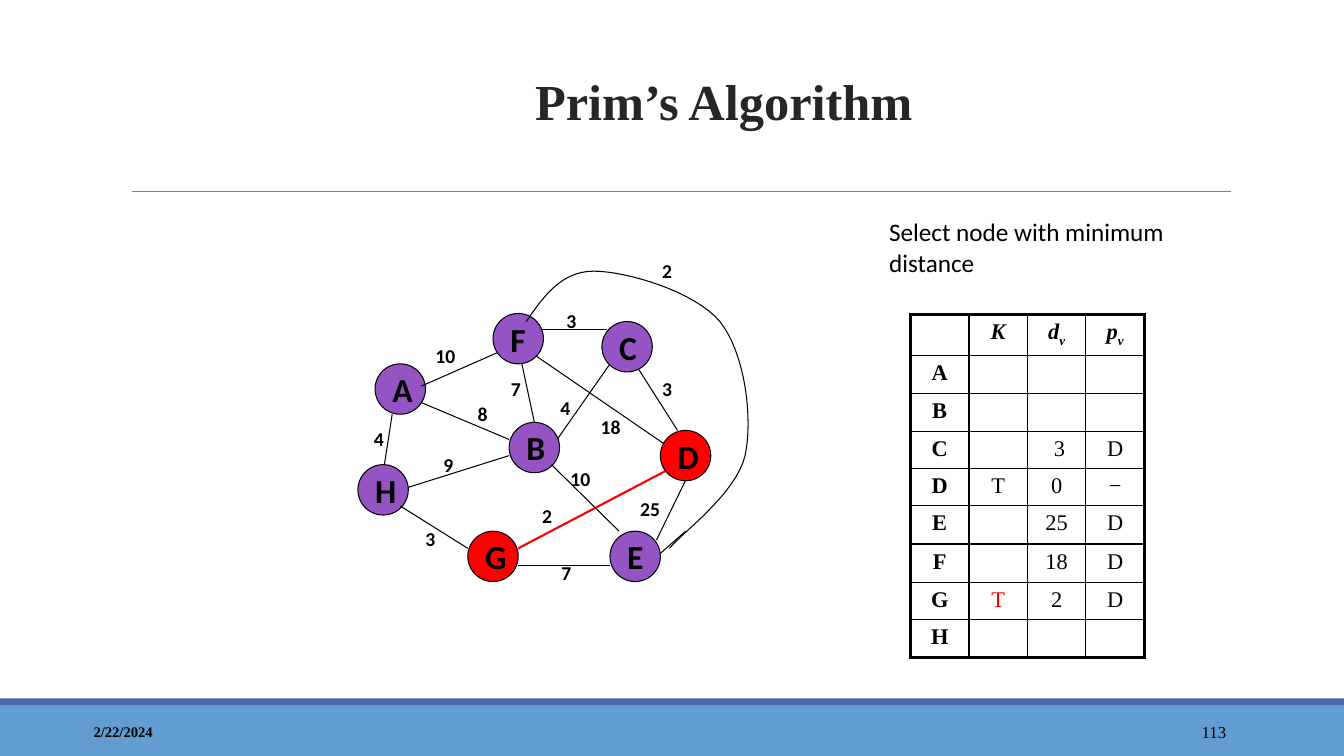
"""Build the Prim's Algorithm slide with its weighted graph and distance table."""
from lxml.etree import SubElement
from pptx import Presentation
from pptx.dml.color import RGBColor
from pptx.enum.shapes import MSO_CONNECTOR, MSO_SHAPE
from pptx.enum.text import MSO_ANCHOR, MSO_AUTO_SIZE, PP_ALIGN
from pptx.oxml.ns import qn
from pptx.util import Inches, Pt

SERIF, SANS = "Times New Roman", "Calibri"
BLACK, RED, PURPLE = "000000", "FF0000", "9454C3"


def write(frame, text, size, font=SANS, bold=False, color=BLACK, align=PP_ALIGN.LEFT):
    frame.word_wrap = True
    paragraph = frame.paragraphs[0]
    paragraph.alignment = align
    run = paragraph.add_run()
    run.text = text
    run.font.size = Pt(size)
    run.font.name = font
    run.font.bold = bold
    run.font.color.rgb = RGBColor.from_string(color)
    return run


def connect(x1, y1, x2, y2, color=BLACK, width=0.75):
    line = slide.shapes.add_connector(
        MSO_CONNECTOR.STRAIGHT, Inches(x1), Inches(y1), Inches(x2), Inches(y2))
    line.line.color.rgb = RGBColor.from_string(color)
    line.line.width = Pt(width)
    SubElement(line._element.spPr, qn("a:effectLst"))


prs = Presentation()
prs.slide_width, prs.slide_height = Inches(13.33), Inches(7.5)
slide = prs.slides.add_slide(prs.slide_layouts[5])

title = slide.shapes.title
title.left, title.top, title.width, title.height = map(Inches, (1.68, 0.29, 11, 1.06))
heading = title.text_frame
heading.auto_size = MSO_AUTO_SIZE.NONE
heading.vertical_anchor = MSO_ANCHOR.BOTTOM
write(heading, "Prim’s Algorithm", 36, SERIF, True, "262626", PP_ALIGN.CENTER)
heading.paragraphs[0].line_spacing = 1.1

for top, height, color in [(7, 0.5, "629DD1"), (6.93, 0.07, "4A66AC")]:
    band = slide.shapes.add_shape(
        MSO_SHAPE.RECTANGLE, 0, Inches(top), prs.slide_width, Inches(height))
    band.shadow.inherit = False
    band.fill.solid()
    band.fill.fore_color.rgb = RGBColor.from_string(color)
    band.line.fill.background()
connect(1.31, 1.9, 12.21, 1.9, "7F7F7F")

for text, left, width, size, bold, align in [
    ("2/22/2024", 0.83, 3, 10.5, True, PP_ALIGN.LEFT),
    ("113", 10.83, 1.43, 12, False, PP_ALIGN.RIGHT),
]:
    footer = slide.shapes.add_textbox(Inches(left), Inches(7.06), Inches(width), Inches(0.4))
    footer.text_frame.vertical_anchor = MSO_ANCHOR.MIDDLE
    write(footer.text_frame, text, size, SERIF, bold, align=align)

step = slide.shapes.add_textbox(Inches(8.72), Inches(2.1), Inches(3.17), Inches(0.77))
write(step.text_frame, "Select node with minimum distance", 18)

distances = [
    ("", "K", "d", "p"),
    ("A", "", "", ""),
    ("B", "", "", ""),
    ("C", "", " 3", "D"),
    ("D", "T", "0", "−"),
    ("E", "", "25", "D"),
    ("F", "", "18", "D"),
    ("G", "T", "2", "D"),
    ("H", "", "", ""),
]
row_heights = [0.36, 0.38, 0.38, 0.36, 0.36, 0.38, 0.38, 0.36, 0.38]
table = slide.shapes.add_table(
    9, 4, Inches(9.03), Inches(3.12), Inches(2.32), Inches(sum(row_heights))).table
table.first_row = table.horz_banding = False
for column in table.columns:
    column.width = Inches(0.58)
for r, (values, height) in enumerate(zip(distances, row_heights)):
    table.rows[r].height = Inches(height)
    for c, value in enumerate(values):
        cell = table.cell(r, c)
        paragraph = cell.text_frame.paragraphs[0]
        if value:
            color = RED if (values[0], c) == ("G", 1) else BLACK
            run = write(cell.text_frame, value, 16, SERIF, r == 0 or c == 0,
                        color, PP_ALIGN.CENTER)
            run.font.italic = r == 0
            if value in ("d", "p"):
                subscript = write(cell.text_frame, "v", 16, SERIF, True,
                                  align=PP_ALIGN.CENTER)
                subscript.font.italic = True
                subscript._r.get_or_add_rPr().set("baseline", "-25000")
        else:
            SubElement(paragraph._p, qn("a:endParaRPr"), sz="1600")
        outer_sides = {"lnL": c == 0, "lnR": c == 3, "lnT": r == 0, "lnB": r == 8}
        for side, outer in outer_sides.items():
            border = SubElement(cell._tc.get_or_add_tcPr(), qn(f"a:{side}"),
                                w=str(Pt(2.25 if outer else 1)))
            SubElement(SubElement(border, qn("a:solidFill")), qn("a:srgbClr"), val=BLACK)
        cell.fill.background()

for edge in [
    (6.92, 4.52, 6.51, 5.36),
    (5.14, 3.44, 5.3, 4.19),
    (5.47, 4.44, 6.05, 3.61),
    (6.64, 4.44, 5.3, 3.52),
    (3.97, 4.86, 5.05, 4.52),
    (5.14, 5.44, 6.72, 4.61, RED, 1.5),
    (3.8, 4.69, 3.89, 4.11),
    (4.05, 3.94, 5.05, 4.36),
    (5.35, 3.27, 6.02, 3.27),
    (6.3, 3.61, 6.72, 4.27),
]:
    connect(*edge)

for letter, left, top, color in [
    ("A", 3.72, 3.61, PURPLE),
    ("H", 3.55, 4.61, PURPLE),
    ("B", 5.05, 4.19, PURPLE),
    ("F", 4.89, 3.11, PURPLE),
    ("E", 6.05, 5.27, PURPLE),
    ("D", 6.55, 4.27, RED),
    ("C", 5.97, 3.19, PURPLE),
    ("G", 4.64, 5.27, RED),
]:
    node = slide.shapes.add_shape(
        MSO_SHAPE.OVAL, Inches(left), Inches(top), Inches(0.5), Inches(0.5))
    node.shadow.inherit = False
    node.fill.solid()
    node.fill.fore_color.rgb = RGBColor.from_string(color)
    node.line.color.rgb = RGBColor.from_string(BLACK)
    node.line.width = Pt(0.75)
    node.text_frame.vertical_anchor = MSO_ANCHOR.MIDDLE
    write(node.text_frame, letter, 24, bold=True)

for edge in [
    (5.47, 4.61, 6.14, 5.27),
    (6.05, 5.61, 5.14, 5.61),
    (4.64, 5.44, 3.97, 5.02),
    (4.18, 3.83, 4.93, 3.5),
    (6.8, 5.27, 6.55, 5.49),
]:
    connect(*edge)

start = (5.22, 3.19)
builder = slide.shapes.build_freeform(*map(Inches, start))
outer_arc = []
for bend_out, bend_in, end in [
    ((5.39, 2.94), (5.57, 2.69), (5.89, 2.69)),
    ((6.21, 2.69), (6.89, 2.89), (7.14, 3.19)),
    ((7.39, 3.5), (7.47, 4.15), (7.39, 4.52)),
    ((7.3, 4.9), (6.76, 5.29), (6.64, 5.44)),
]:
    for t in (i / 16 for i in range(1, 17)):
        outer_arc.append([
            Inches((1 - t) ** 3 * p0 + 3 * t * (1 - t) ** 2 * p1
                   + 3 * t ** 2 * (1 - t) * p2 + t ** 3 * p3)
            for p0, p1, p2, p3 in zip(start, bend_out, bend_in, end)])
    start = end
builder.add_line_segments(outer_arc, close=False)
far_edge = builder.convert_to_shape()
far_edge.shadow.inherit = False
far_edge.fill.background()
far_edge.line.color.rgb = RGBColor.from_string(BLACK)
far_edge.line.width = Pt(0.75)

for weight, left, top in [
    ("4", 3.61, 4.19), ("25", 6.25, 4.88), ("7", 5.47, 5.52), ("2", 5.28, 4.95),
    ("10", 5.56, 4.58), ("18", 5.86, 4.07), ("3", 6.47, 3.69), ("4", 5.46, 3.88),
    ("3", 5.52, 3.02), ("7", 4.97, 3.69), ("8", 4.64, 3.94), ("9", 4.3, 4.44),
    ("3", 4.12, 5.18), ("10", 4.22, 3.36), ("2", 6.47, 2.52),
]:
    width = 0.33 if len(weight) == 1 else 0.52
    label = slide.shapes.add_textbox(Inches(left), Inches(top), Inches(width), Inches(0.33))
    write(label.text_frame, weight, 14, bold=True)

prs.save("out.pptx")
